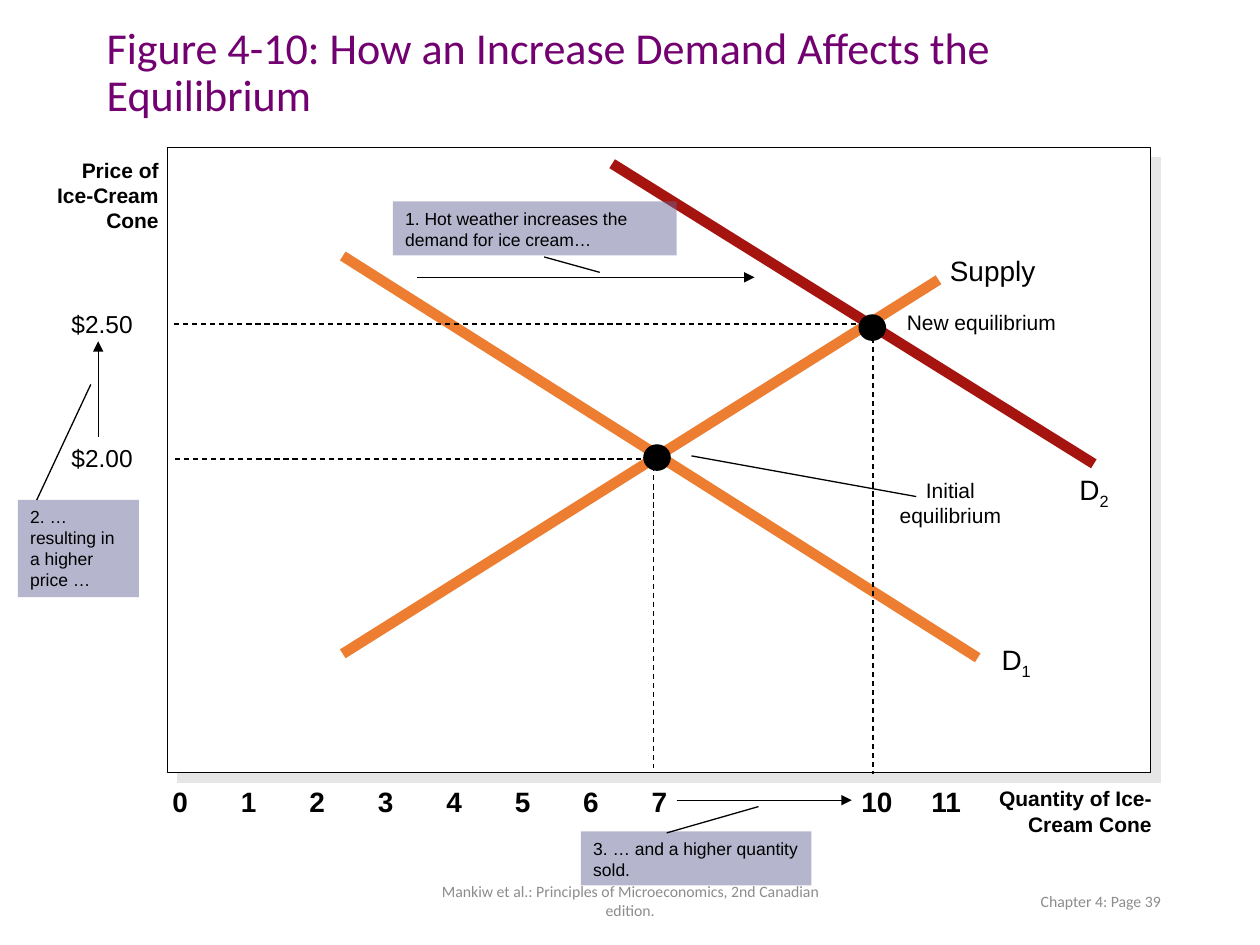
from typing import NamedTuple

from lxml.etree import SubElement
from pptx import Presentation
from pptx.dml.color import RGBColor
from pptx.enum.dml import MSO_LINE
from pptx.enum.shapes import MSO_CONNECTOR, MSO_SHAPE
from pptx.enum.text import MSO_ANCHOR, PP_ALIGN
from pptx.oxml.ns import qn
from pptx.util import Cm, Pt

BLACK = RGBColor(0x00, 0x00, 0x00)
WHITE = RGBColor(0xFF, 0xFF, 0xFF)
PURPLE = RGBColor(0x72, 0x00, 0x70)
GRAY = RGBColor(0x8C, 0x8C, 0x8C)
ORANGE = RGBColor(0xED, 0x7D, 0x31)
RED = RGBColor(0xA6, 0x14, 0x10)
LAVENDER = RGBColor(0x66, 0x66, 0x99)
SHADOW_HEX = "E7E6E6"


class Box(NamedTuple):
    """Position and size in centimetres."""
    left: float
    top: float
    width: float
    height: float


class Segment(NamedTuple):
    """Start and end points in centimetres."""
    x1: float
    y1: float
    x2: float
    y2: float


class Label(NamedTuple):
    text: str
    box: Box
    size: float
    bold: bool = False
    align: PP_ALIGN = PP_ALIGN.LEFT
    subscript: str = ""


class Callout(NamedTuple):
    text: str
    box: Box
    leader: Segment


class Equilibrium(NamedTuple):
    price_guide: Segment
    quantity_guide: Segment
    dot: Box


LABELS = [
    Label("D", Box(19.94, 12.83, 1.47, 0.94), 16, subscript="1"),
    Label("D", Box(21.51, 9.4, 1.47, 0.94), 16, subscript="2"),
    Label("Supply", Box(18.9, 4.98, 2.97, 0.94), 16),
    Label("$2.00", Box(1.19, 8.81, 2.26, 0.84), 14),
    Label("$2.50", Box(1.19, 6.1, 2.26, 0.84), 14),
    Label("New equilibrium", Box(18.03, 6.12, 3.68, 0.76), 12),
    Label("Initial equilibrium", Box(17.75, 9.5, 2.82, 1.27), 12,
          align=PP_ALIGN.CENTER),
    Label("Quantity of Ice-Cream Cone", Box(19.41, 15.72, 4.06, 1.27), 12,
          bold=True, align=PP_ALIGN.RIGHT),
    Label("Price of Ice-Cream Cone", Box(0.58, 3.05, 2.87, 1.78), 12,
          bold=True, align=PP_ALIGN.RIGHT),
]
CURVES = [
    (Segment(6.91, 5.16, 19.71, 13.26), ORANGE),
    (Segment(6.91, 13.18, 18.92, 5.64), ORANGE),
    (Segment(12.34, 3.3, 22.05, 9.35), RED),
]
EQUILIBRIA = [
    Equilibrium(Segment(3.53, 9.25, 12.98, 9.25),
                Segment(13.18, 9.4, 13.18, 15.49),
                Box(12.98, 8.97, 0.53, 0.51)),
    Equilibrium(Segment(3.51, 6.53, 17.5, 6.53),
                Segment(17.6, 6.63, 17.6, 15.6),
                Box(17.32, 6.35, 0.53, 0.51)),
]
SHIFT_ARROWS = [
    Segment(8.41, 5.59, 15.21, 5.59),
    Segment(1.98, 8.81, 1.98, 6.88),
    Segment(13.64, 16.13, 17.17, 16.13),
]
CALLOUTS = [
    Callout("1. Hot weather increases the demand for ice cream…",
            Box(7.92, 4.06, 5.72, 1.09), Segment(10.97, 5.18, 12.09, 5.49)),
    Callout("2. … resulting in a higher price …",
            Box(0.36, 10.08, 2.44, 1.96), Segment(0.74, 10.08, 1.83, 7.75)),
    Callout("3. … and a higher quantity sold.",
            Box(11.71, 16.76, 4.65, 1.09), Segment(13.44, 16.79, 15.29, 16.26)),
]
INITIAL_LEADER = Segment(18.47, 10.01, 13.94, 9.19)
QUANTITIES = [0, 1, 2, 3, 4, 5, 6, 7, 10, 11]
ORIGIN_RIGHT, QUANTITY_STEP = 4.04, 1.38


def write(shape, text: str, *, size: float, color: RGBColor = BLACK,
          font: str = "Arial", bold: bool = False,
          align: PP_ALIGN = PP_ALIGN.LEFT, anchor: MSO_ANCHOR = MSO_ANCHOR.TOP,
          spacing: float = 1.0, subscript: str = "") -> None:
    frame = shape.text_frame
    frame.word_wrap = True
    frame.vertical_anchor = anchor
    paragraph = frame.paragraphs[0]
    paragraph.alignment = align
    paragraph.line_spacing = spacing
    for part in filter(None, (text, subscript)):
        run = paragraph.add_run()
        run.text = part
        run.font.name, run.font.size, run.font.bold = font, Pt(size), bold
        run.font.color.rgb = color
    if subscript:
        run.font._element.set("baseline", "-25000")


def add_text(slide, text: str, box: Box, **style) -> None:
    write(slide.shapes.add_textbox(*map(Cm, box)), text, **style)


def add_filled(slide, kind: MSO_SHAPE, box: Box, fill: RGBColor, outlined: bool = True):
    shape = slide.shapes.add_shape(kind, *map(Cm, box))
    shape.shadow.inherit = False
    shape.fill.solid()
    shape.fill.fore_color.rgb = fill
    if outlined:
        shape.line.color.rgb = BLACK
        shape.line.width = Pt(0.75)
    else:
        shape.line.fill.background()
    return shape


def add_line(slide, segment: Segment, color: RGBColor = BLACK, width: float = 0.75,
             dashed: bool = False, arrow: bool = False) -> None:
    connector = slide.shapes.add_connector(MSO_CONNECTOR.STRAIGHT, *map(Cm, segment))
    connector.line.color.rgb = color
    connector.line.width = Pt(width)
    if dashed:
        connector.line.dash_style = MSO_LINE.DASH
    if arrow:
        SubElement(connector.line._get_or_add_ln(), qn("a:tailEnd"), type="triangle")
    SubElement(connector._element.spPr, qn("a:effectLst"))


def add_plot_area(slide) -> None:
    plot = add_filled(slide, MSO_SHAPE.RECTANGLE, Box(3.38, 2.97, 19.81, 12.6), WHITE)
    effects = plot._element.spPr.find(qn("a:effectLst"))
    shadow = SubElement(effects, qn("a:outerShdw"), dist=str(Pt(8.5)),
                        dir=str(45 * 60000), algn="ctr", rotWithShape="0")
    SubElement(shadow, qn("a:srgbClr"), val=SHADOW_HEX)


def add_equilibrium(slide, equilibrium: Equilibrium) -> None:
    add_line(slide, equilibrium.price_guide, dashed=True)
    add_line(slide, equilibrium.quantity_guide, dashed=True)
    add_filled(slide, MSO_SHAPE.OVAL, equilibrium.dot, BLACK)


def add_callout(slide, callout: Callout) -> None:
    note = add_filled(slide, MSO_SHAPE.RECTANGLE, callout.box, LAVENDER, outlined=False)
    tint = note._element.spPr.find(qn("a:solidFill"))[0]
    SubElement(tint, qn("a:alpha"), val="48000")
    write(note, callout.text, size=10)
    add_line(slide, callout.leader)


def add_quantity(slide, quantity: int) -> None:
    """Two-digit numbers are wider and reach further right."""
    two_digits = quantity >= 10
    width = 1.3 if two_digits else 1.07
    right = ORIGIN_RIGHT + quantity * QUANTITY_STEP + (0.4 if two_digits else 0)
    add_text(slide, str(quantity), Box(right - width, 15.7, width, 0.94),
             size=16, bold=True, align=PP_ALIGN.RIGHT)


def main() -> None:
    presentation = Presentation()
    presentation.slide_width, presentation.slide_height = Cm(25.4), Cm(19.05)
    slide = presentation.slides.add_slide(presentation.slide_layouts[6])

    add_text(slide, "Figure 4-10: How an Increase Demand Affects the Equilibrium",
             Box(1.9, 0.64, 21.59, 1.7), size=25.2, color=PURPLE, font="Calibri",
             anchor=MSO_ANCHOR.MIDDLE, spacing=0.9)
    footer = dict(size=9, color=GRAY, font="Calibri", anchor=MSO_ANCHOR.MIDDLE)
    add_text(slide, "Mankiw et al.: Principles of Microeconomics, 2nd Canadian edition.",
             Box(8.41, 17.65, 8.59, 1.02), align=PP_ALIGN.CENTER, **footer)
    add_text(slide, "Chapter 4: Page 39", Box(17.93, 17.65, 5.72, 1.02),
             align=PP_ALIGN.RIGHT, **footer)

    add_plot_area(slide)
    for segment, color in CURVES:
        add_line(slide, segment, color, width=6)
    for equilibrium in EQUILIBRIA:
        add_equilibrium(slide, equilibrium)
    for arrow in SHIFT_ARROWS:
        add_line(slide, arrow, arrow=True)
    for callout in CALLOUTS:
        add_callout(slide, callout)
    for text, box, size, bold, align, subscript in LABELS:
        add_text(slide, text, box, size=size, bold=bold, align=align, subscript=subscript)
    for quantity in QUANTITIES:
        add_quantity(slide, quantity)
    add_line(slide, INITIAL_LEADER)

    presentation.save("out.pptx")


if __name__ == "__main__":
    main()
